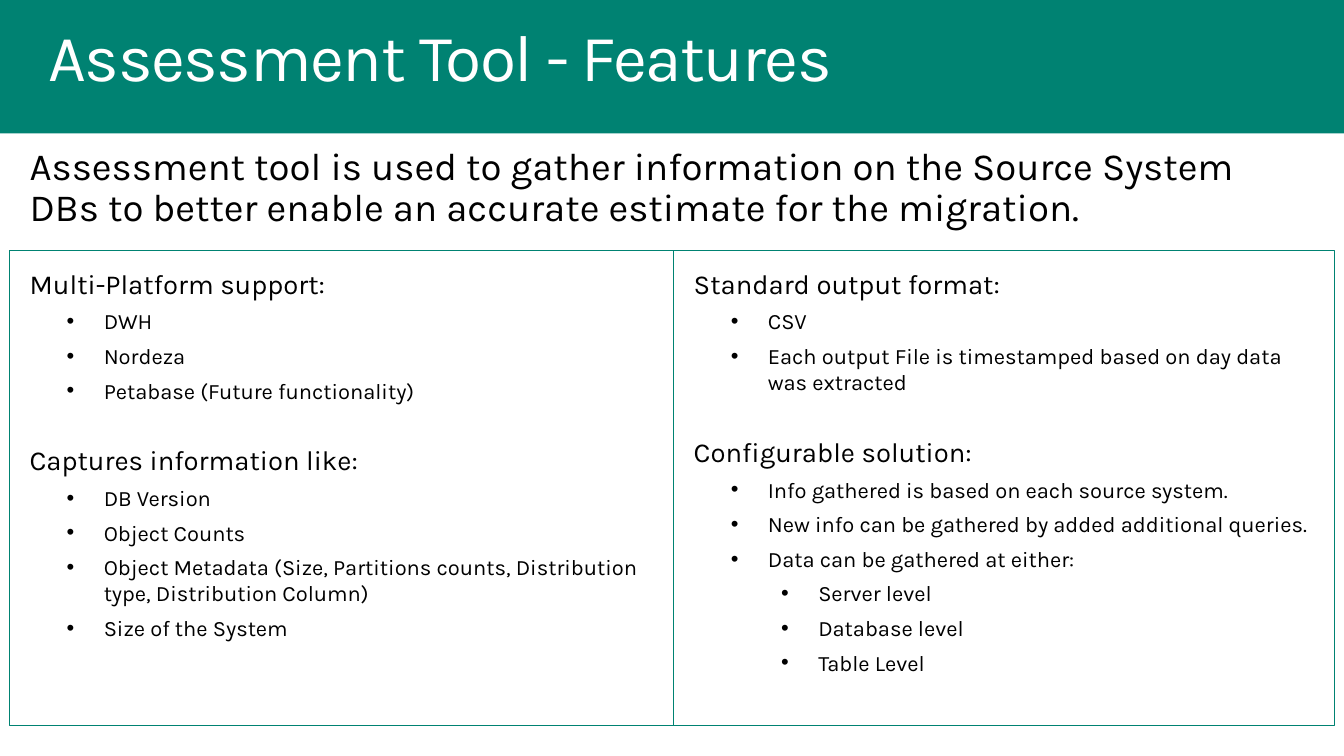
from pptx import Presentation
from pptx.dml.color import RGBColor
from pptx.enum.shapes import MSO_SHAPE as Shape
from pptx.enum.text import MSO_ANCHOR as Anchor, PP_ALIGN as Align
from pptx.oxml.ns import qn
from pptx.util import Pt
from lxml.etree import SubElement

FONT = "Karla"
TEAL, WHITE, BLACK = "008272", "FFFFFF", "000000"
PAGE_WIDTH, PAGE_HEIGHT = 979.2, 550.8
BULLET_LEFT = {1: 54, 2: 90.72}
BULLET_HANG = 27
GROUP_GAP = 23

INTRO = ("Assessment tool is used to gather information on the Source System "
         "DBs to better enable an accurate estimate for the migration.")
PLATFORMS_AND_CAPTURE = [
    ("Multi-Platform support:", [
        (1, "DWH"),
        (1, "Nordeza"),
        (1, "Petabase (Future functionality)")]),
    ("Captures information like:", [
        (1, "DB Version"),
        (1, "Object Counts"),
        (1, "Object Metadata (Size, Partitions counts, Distribution type, "
            "Distribution Column)"),
        (1, "Size of the System")]),
]
OUTPUT_AND_CONFIGURATION = [
    ("Standard output format:", [
        (1, "CSV"),
        (1, "Each output File is timestamped based on day data was extracted")]),
    ("Configurable solution:", [
        (1, "Info gathered is based on each source system."),
        (1, "New info can be gathered by added additional queries."),
        (1, "Data can be gathered at either:"),
        (2, "Server level"),
        (2, "Database level"),
        (2, "Table Level")]),
]


def color(value):
    return RGBColor.from_string(value)


def apply(target, **values):
    for name, value in values.items():
        setattr(target, name, value)


def prepare_frame(shape, side, end):
    """Wrap the text from the top, with equal insets left/right and top/bottom."""
    frame = shape.text_frame
    apply(frame, word_wrap=True, vertical_anchor=Anchor.TOP,
          margin_left=Pt(side), margin_right=Pt(side),
          margin_top=Pt(end), margin_bottom=Pt(end))
    return frame


def write(para, text, size, ink=BLACK, **spacing):
    apply(para, alignment=Align.LEFT, **spacing)
    span = para.add_run()
    span.text = text
    apply(span.font, name=FONT, size=Pt(size))
    span.font.color.rgb = color(ink)
    return span


def add_bullet(para, level):
    para.level = level
    props = para._p.get_or_add_pPr()
    props.set("marL", str(Pt(BULLET_LEFT[level])))
    props.set("indent", str(Pt(-BULLET_HANG)))
    SubElement(props, qn("a:buFont")).set("typeface", "Arial")
    SubElement(props, qn("a:buChar")).set("char", "•")


def add_rectangle(page, box):
    shape = page.shapes.add_shape(Shape.RECTANGLE, *map(Pt, box))
    shape.shadow.inherit = False
    return shape


def add_header(page, box, title):
    left, top, width, height = box
    band = add_rectangle(page, box)
    band.fill.solid()
    band.fill.fore_color.rgb = color(TEAL)
    band.line.fill.background()
    label = page.shapes.add_textbox(Pt(left + 23.76), Pt(top + 10.8), Pt(864), Pt(67))
    frame = prepare_frame(label, 11.52, 7.2)
    span = write(frame.paragraphs[0], title, 48, WHITE, line_spacing=0.9)
    span.font._element.set("spc", "-100")


def add_intro(page, box, text):
    frame = prepare_frame(page.shapes.add_textbox(*map(Pt, box)), 14.4, 11.52)
    write(frame.paragraphs[0], text, 28, line_spacing=0.9, space_after=Pt(6))


def add_feature_panel(page, box, groups):
    panel = add_rectangle(page, box)
    panel.fill.background()
    panel.line.color.rgb = color(TEAL)
    panel.line.width = Pt(0.75)
    frame = prepare_frame(panel, 14.4, 11.52)
    for index, (heading, items) in enumerate(groups):
        para = frame.add_paragraph() if index else frame.paragraphs[0]
        write(para, heading, 20, space_before=Pt(GROUP_GAP if index else 0),
              space_after=Pt(6))
        for level, text in items:
            para = frame.add_paragraph()
            write(para, text, 16, space_before=Pt(0), space_after=Pt(6))
            add_bullet(para, level)


def main():
    deck = Presentation()
    apply(deck, slide_width=Pt(PAGE_WIDTH), slide_height=Pt(PAGE_HEIGHT))
    page = deck.slides.add_slide(deck.slide_layouts[6])
    add_header(page, (0, 0, PAGE_WIDTH, 97.2), "Assessment Tool - Features")
    add_intro(page, (7.2, 95.76, 936, 84.24), INTRO)
    left, divider, right = 7.2, 491.04, 972
    top, height = 182.88, 345.6
    add_feature_panel(page, (left, top, divider - left, height), PLATFORMS_AND_CAPTURE)
    add_feature_panel(page, (divider, top, right - divider, height),
                      OUTPUT_AND_CONFIGURATION)
    deck.save("out.pptx")


if __name__ == "__main__":
    main()
